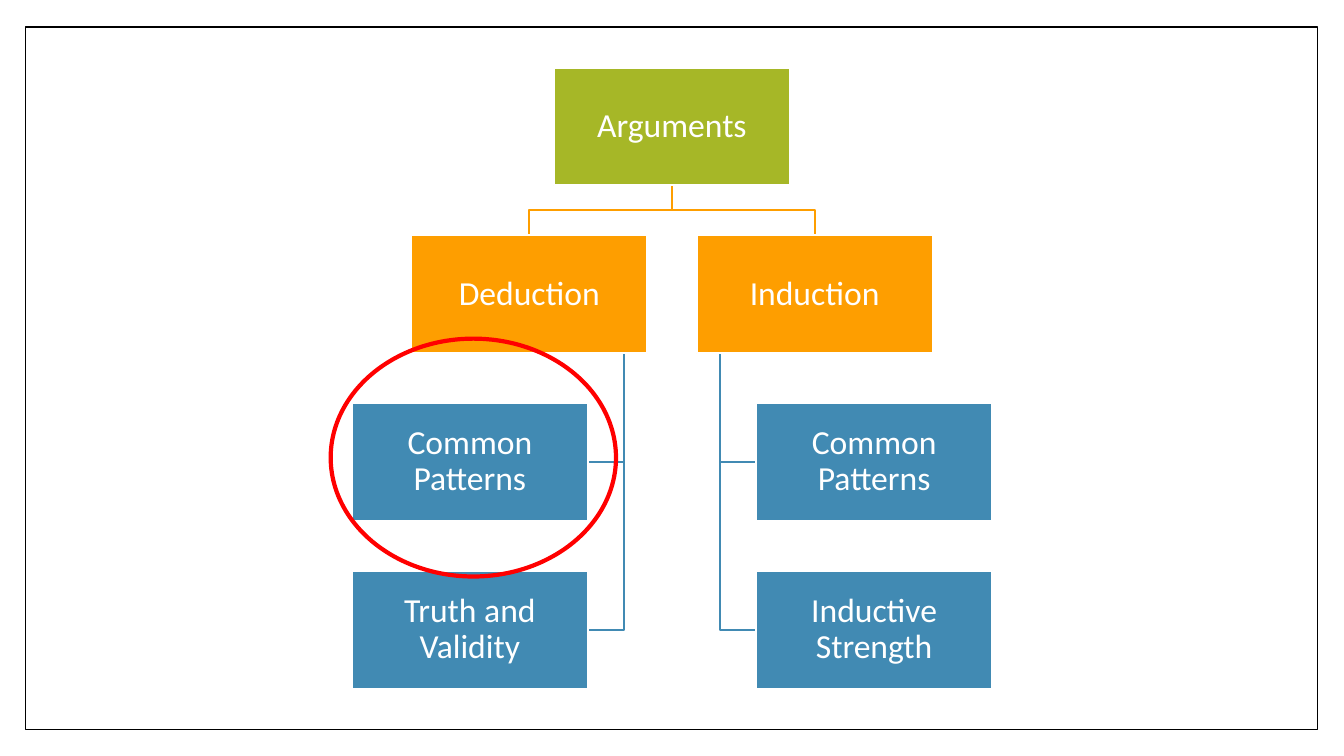
from pptx import Presentation
from pptx import util as u
from pptx.dml import color
from pptx.enum import shapes, text

COLORS = {
    "white": "FFFFFF",
    "black": "000000",
    "root": "A6B727",
    "branch": "FE9E00",
    "leaf": "418AB3",
    "highlight": "FF0000",
}
WIDTH, HEIGHT = 13.33, 7.5
CENTER = WIDTH / 2
BOX_W, BOX_H = 2.34, 1.17
TOP, ROW_STEP = 0.67, 1.664
BRANCH_OFFSET, LEAF_OFFSET = 1.415, 2.0
TRUNK_INSET = 0.1 * BOX_W
BRANCHES = [
    (-1, "Deduction", ["Common Patterns", "Truth and Validity"]),
    (1, "Induction", ["Common Patterns", "Inductive Strength"]),
]


def rgb(name):
    return color.RGBColor.from_string(COLORS[name])


def row_top(row):
    return TOP + row * ROW_STEP


def add_outline(page, kind, left, top, width, height, fill, line, weight):
    shape = page.shapes.add_shape(kind, *map(u.Inches, (left, top, width, height)))
    shape.shadow.inherit = False
    if fill:
        shape.fill.solid()
        shape.fill.fore_color.rgb = rgb(fill)
    else:
        shape.fill.background()
    shape.line.color.rgb = rgb(line)
    shape.line.width = u.Pt(weight)
    return shape


def add_box(page, label, center, row, fill):
    box = add_outline(page, shapes.MSO_SHAPE.RECTANGLE, center - BOX_W / 2,
                      row_top(row), BOX_W, BOX_H, fill, "white", 1.5)
    frame = box.text_frame
    frame.text = label
    frame.word_wrap = True
    frame.vertical_anchor = text.MSO_ANCHOR.MIDDLE
    frame.margin_left = frame.margin_right = u.Inches(0.02)
    frame.margin_top = frame.margin_bottom = u.Inches(0.02)
    para = frame.paragraphs[0]
    para.alignment = text.PP_ALIGN.CENTER
    para.line_spacing = 0.9
    span = para.runs[0]
    span.font.name = "Calibri"
    span.font.size = u.Pt(24)
    span.font.color.rgb = rgb("white")


def add_link(page, points, line):
    start, *rest = [(u.Inches(x), u.Inches(y)) for x, y in points]
    builder = page.shapes.build_freeform(*start)
    builder.add_line_segments(rest, close=False)
    link = builder.convert_to_shape()
    link.shadow.inherit = False
    link.fill.background()
    link.line.color.rgb = rgb(line)
    link.line.width = u.Pt(1.5)


def add_branch(page, side, label, leaves):
    branch_x = CENTER + side * BRANCH_OFFSET
    leaf_x = CENTER + side * (LEAF_OFFSET + 0.005)
    trunk_x = branch_x - side * (BOX_W / 2 - TRUNK_INSET)
    root_bottom, branch_top = row_top(0) + BOX_H, row_top(1)
    middle = (root_bottom + branch_top) / 2
    add_link(page, [(CENTER, root_bottom), (CENTER, middle),
                    (branch_x, middle), (branch_x, branch_top)], "branch")
    for row, leaf in enumerate(leaves, start=2):
        leaf_y = row_top(row) + BOX_H / 2
        add_link(page, [(trunk_x, branch_top + BOX_H), (trunk_x, leaf_y),
                        (leaf_x - side * BOX_W / 2, leaf_y)], "leaf")
        add_box(page, leaf, leaf_x, row, "leaf")
    add_box(page, label, branch_x, 1, "branch")


def main():
    deck = Presentation()
    deck.slide_width, deck.slide_height = u.Inches(WIDTH), u.Inches(HEIGHT)
    page = deck.slides.add_slide(deck.slide_layouts[6])
    add_outline(page, shapes.MSO_SHAPE.RECTANGLE, 0.25, 0.27, 12.82, 6.97,
                "white", "black", 1)
    for branch in BRANCHES:
        add_branch(page, *branch)
    add_box(page, "Arguments", CENTER, 0, "root")
    add_outline(page, shapes.MSO_SHAPE.OVAL, 3.28, 3.36, 2.83, 2.36,
                None, "highlight", 3)
    deck.save("out.pptx")


if __name__ == "__main__":
    main()
